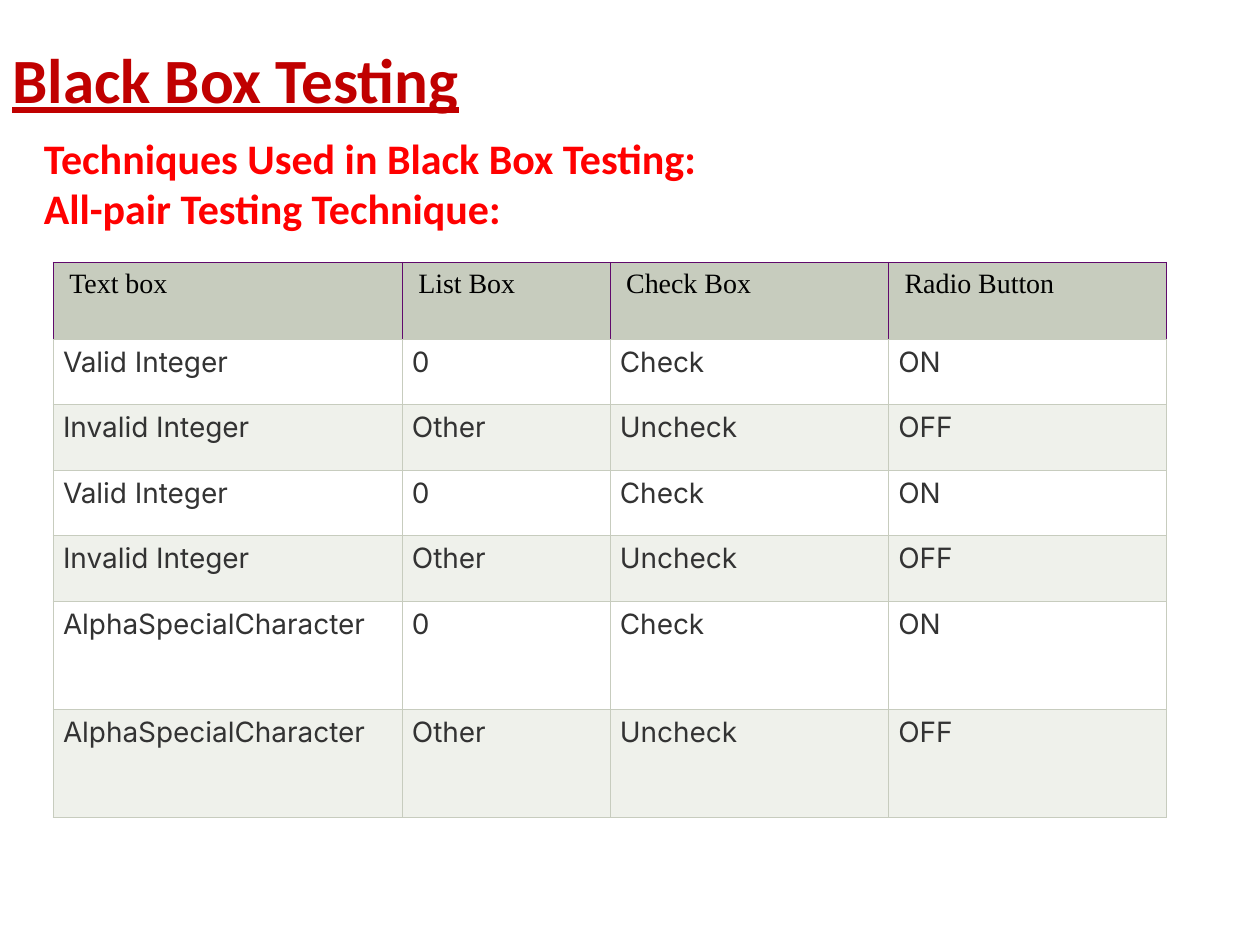
import itertools

import lxml.etree
import pptx
import pptx.dml.color
import pptx.enum.text
import pptx.oxml.ns
import pptx.util
from pptx.util import Inches

COLORS = {
    "title": "C00000",
    "heading": "FF0000",
    "header_text": "000000",
    "body_text": "333333",
    "header_fill": "C7CCBE",
    "plain_fill": "FFFFFF",
    "band_fill": "EFF1EB",
    "header_border": "60096C",
    "border": "C7CCBE",
}
BORDER_WIDTH = pptx.util.Pt(0.34)
COLUMN_WIDTHS = [2.77, 1.65, 2.21, 2.21]
ROW_HEIGHTS = [0.61] + [0.52] * 4 + [0.86] * 2
HEADERS = ["Text box", "List Box", "Check Box", "Radio Button"]
TEXT_INPUTS = ["Valid Integer", "Invalid Integer"] * 2 + ["AlphaSpecialCharacter"] * 2
OTHER_INPUTS = [["0", "Check", "ON"], ["Other", "Uncheck", "OFF"]]


def rgb(name):
    return pptx.dml.color.RGBColor.from_string(COLORS[name])


def write_text(frame, text, *, size, font, color, bold=False, underline=False, justify=False):
    """Fill a text frame, one paragraph for each line of text."""
    for index, line in enumerate(text.split("\n")):
        para = frame.add_paragraph() if index else frame.paragraphs[0]
        if justify:
            para.alignment = pptx.enum.text.PP_ALIGN.JUSTIFY
        span = para.add_run()
        span.text = line
        span.font.size = pptx.util.Pt(size)
        span.font.name = font
        span.font.color.rgb = rgb(color)
        span.font.bold = bold
        span.font.underline = underline


def add_text_box(page, left, top, width, height, text, *, middle=False, **style):
    box = page.shapes.add_textbox(Inches(left), Inches(top), Inches(width), Inches(height))
    frame = box.text_frame
    frame.word_wrap = True
    if middle:
        frame.vertical_anchor = pptx.enum.text.MSO_ANCHOR.MIDDLE
    write_text(frame, text, **style)


def set_borders(cell, side_color, bottom_color):
    """Draw the left, right and top edges in one colour and the bottom in another."""
    properties = cell._tc.get_or_add_tcPr()
    qn = pptx.oxml.ns.qn
    for side in "LRTB":
        color = bottom_color if side == "B" else side_color
        line = lxml.etree.SubElement(properties, qn(f"a:ln{side}"), w=str(int(BORDER_WIDTH)))
        fill = lxml.etree.SubElement(line, qn("a:solidFill"))
        lxml.etree.SubElement(fill, qn("a:srgbClr"), val=COLORS[color])


def format_cell(cell, text, *, fill, side_color, margin, **style):
    set_borders(cell, side_color, "border")
    cell.fill.solid()
    cell.fill.fore_color.rgb = rgb(fill)
    cell.margin_left = cell.margin_right = Inches(margin)
    cell.margin_top = cell.margin_bottom = Inches(0.05)
    write_text(cell.text_frame, text, size=16, **style)


def add_pairs_table(page):
    frame = page.shapes.add_table(
        len(ROW_HEIGHTS), len(COLUMN_WIDTHS), Inches(0.42), Inches(2.08),
        Inches(sum(COLUMN_WIDTHS)), Inches(sum(ROW_HEIGHTS)))
    table = frame.table
    for column, width in zip(table.columns, COLUMN_WIDTHS):
        column.width = Inches(width)
    for row, height in zip(table.rows, ROW_HEIGHTS):
        row.height = Inches(height)

    for cell, text in zip(table.rows[0].cells, HEADERS):
        format_cell(cell, text, fill="header_fill", side_color="header_border",
                    margin=0.13, font="Times New Roman", color="header_text")

    fills = itertools.cycle(["plain_fill", "band_fill"])
    pairs = zip(TEXT_INPUTS, itertools.cycle(OTHER_INPUTS), fills)
    for row_index, (text_input, others, fill) in enumerate(pairs, start=1):
        for cell, text in zip(table.rows[row_index].cells, [text_input, *others]):
            format_cell(cell, text, fill=fill, side_color="border", margin=0.08,
                        font="Inter", color="body_text", justify=True)


def main():
    deck = pptx.Presentation()
    deck.slide_width, deck.slide_height = Inches(10), Inches(7.5)
    page = deck.slides.add_slide(deck.slide_layouts[6])
    add_text_box(page, 0, 0, 9.25, 1.25, "Black Box Testing", middle=True,
                 size=36, font="Calibri", color="title", bold=True, underline=True)
    add_text_box(page, 0.25, 1, 9.44, 1.3,
                 "Techniques Used in Black Box Testing:\nAll-pair Testing Technique:",
                 size=24, font="Calibri", color="heading", bold=True, justify=True)
    add_pairs_table(page)
    deck.save("out.pptx")


if __name__ == "__main__":
    main()
